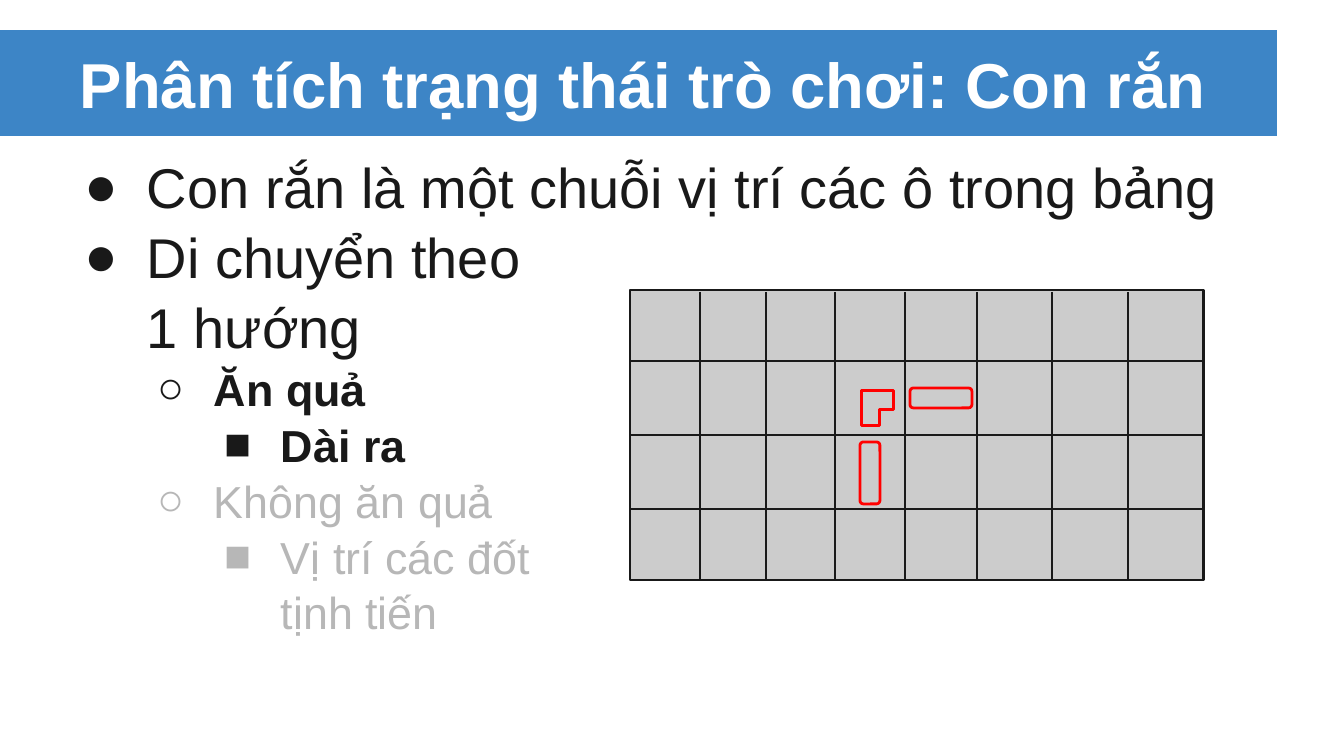
from lxml.etree import SubElement
from pptx import Presentation
from pptx.dml.color import RGBColor
from pptx.enum.shapes import MSO_CONNECTOR, MSO_SHAPE
from pptx.enum.text import MSO_ANCHOR, PP_ALIGN
from pptx.oxml.ns import qn
from pptx.util import Pt

PX = 9144000 / 1344
FONT = "Arial"
BLUE, WHITE, INK = "3D85C6", "FFFFFF", "191919"
MUTED, BOARD, RED = "B7B7B7", "CCCCCC", "FF0000"

# text, level, size, bold, colour
BULLETS = [
    ("Con rắn là một chuỗi vị trí các ô trong bảng", 0, 30, False, INK),
    ("Di chuyển theo\v1 hướng", 0, 30, False, INK),
    ("Ăn quả", 1, 24, True, INK),
    ("Dài ra", 2, 24, True, INK),
    ("Không ăn quả", 1, 24, False, MUTED),
    ("Vị trí các đốt\vtịnh tiến", 2, 24, False, MUTED),
]
BULLET_CHARS = "●○■"
COLUMN_LINES = [70, 136, 205, 275, 347, 422, 498]
ROW_LINES = [71, 145, 219]


def px(n):
    return round(n * PX)


def rgb(color):
    return RGBColor.from_string(color)


def add_box(shapes, kind, x, y, w, h, fill=None, line=None):
    sp = shapes.add_shape(kind, px(x), px(y), px(w), px(h))
    sp.shadow.inherit = False
    if fill:
        sp.fill.solid()
        sp.fill.fore_color.rgb = rgb(fill)
    else:
        sp.fill.background()
    if line:
        sp.line.color.rgb = rgb(line)
        sp.line.width = Pt(1.5)
    else:
        sp.line.fill.background()
    return sp


def add_line(shapes, x1, y1, x2, y2):
    cn = shapes.add_connector(MSO_CONNECTOR.STRAIGHT, px(x1), px(y1), px(x2), px(y2))
    cn.line.color.rgb = rgb(INK)
    cn.line.width = Pt(1.5)
    SubElement(cn._element.spPr, qn("a:effectLst"))


def add_text_frame(slide, x, y, w, h, anchor):
    tf = slide.shapes.add_textbox(px(x), px(y), px(w), px(h)).text_frame
    tf.word_wrap = True
    tf.vertical_anchor = anchor
    tf.margin_left = tf.margin_right = tf.margin_top = tf.margin_bottom = px(13)
    return tf


def style(p, size, bold, color):
    p.alignment = PP_ALIGN.LEFT
    for r in p.runs:
        r.font.name = FONT
        r.font.size = Pt(size)
        r.font.bold = bold
        r.font.color.rgb = rgb(color)


def set_bullet(p, level, color):
    pPr = p._p.get_or_add_pPr()
    pPr.set("marL", str(px(67 * (level + 1))))
    pPr.set("indent", str(px(-56 if level else -62)))
    clr = SubElement(pPr, qn("a:buClr"))
    SubElement(clr, qn("a:srgbClr"), val=color)
    SubElement(pPr, qn("a:buFont"), typeface=FONT)
    SubElement(pPr, qn("a:buChar"), char=BULLET_CHARS[level])


def add_title(slide, x, y, w, h):
    add_box(slide.shapes, MSO_SHAPE.RECTANGLE, x, y, w, h, fill=BLUE)
    tf = add_text_frame(slide, x + 67, y, w - 67, h, MSO_ANCHOR.MIDDLE)
    tf.text = "Phân tích trạng thái trò chơi: Con rắn"
    style(tf.paragraphs[0], 34, True, WHITE)


def add_bullets(slide, x, y, w, h):
    tf = add_text_frame(slide, x, y, w, h, MSO_ANCHOR.TOP)
    for i, (text, level, size, bold, color) in enumerate(BULLETS):
        p = tf.add_paragraph() if i else tf.paragraphs[0]
        p.text = text
        p.level = level
        p.line_spacing = 1.04
        set_bullet(p, level, color)
        style(p, size, bold, color)


def add_board(slide, x, y, w, h):
    """Draw the game grid with the three segments of the snake."""
    shapes = slide.shapes.add_group_shape().shapes
    add_box(shapes, MSO_SHAPE.RECTANGLE, x, y, w, h, BOARD, INK)
    for dx in COLUMN_LINES:
        add_line(shapes, x + dx, y + 2, x + dx, y + h)
    for dy in ROW_LINES:
        add_line(shapes, x, y + dy, x + w, y + dy)

    for dx, dy, sw, sh in [(280, 98, 62, 20), (230, 152, 20, 62)]:
        segment = add_box(shapes, MSO_SHAPE.ROUNDED_RECTANGLE, x + dx, y + dy, sw, sh, line=RED)
        segment.adjustments[0] = 0.17

    corner = MSO_SHAPE.from_xml("corner")
    bend = add_box(shapes, corner, x + 230, y + 102, 35, 32, line=RED)
    bend.rotation = 90
    bend.adjustments[0] = 0.56
    bend.adjustments[1] = 0.6


def main():
    prs = Presentation()
    prs.slide_width, prs.slide_height = px(1344), px(756)
    slide = prs.slides.add_slide(prs.slide_layouts[6])
    add_title(slide, 0, 30, 1277, 106)
    add_bullets(slide, 67, 137, 1210, 587)
    add_board(slide, 630, 290, 574, 290)
    prs.save("out.pptx")


if __name__ == "__main__":
    main()
